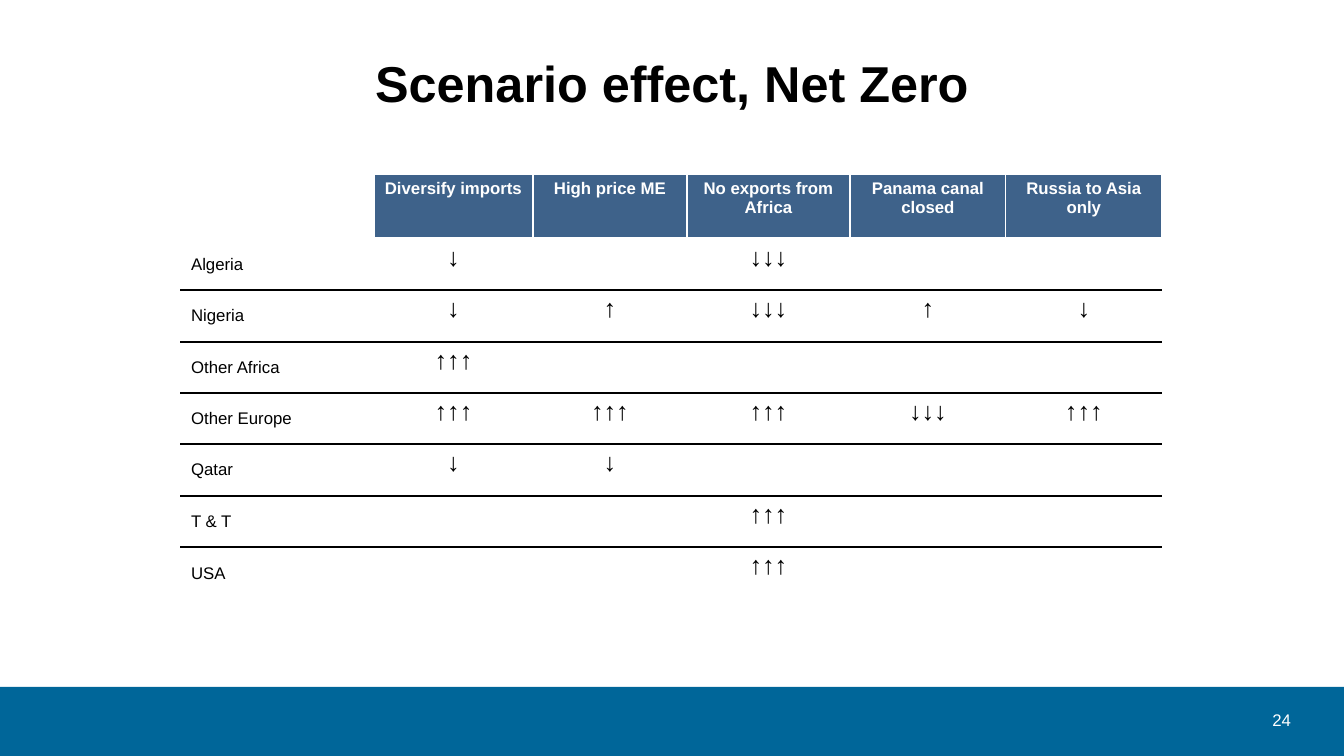
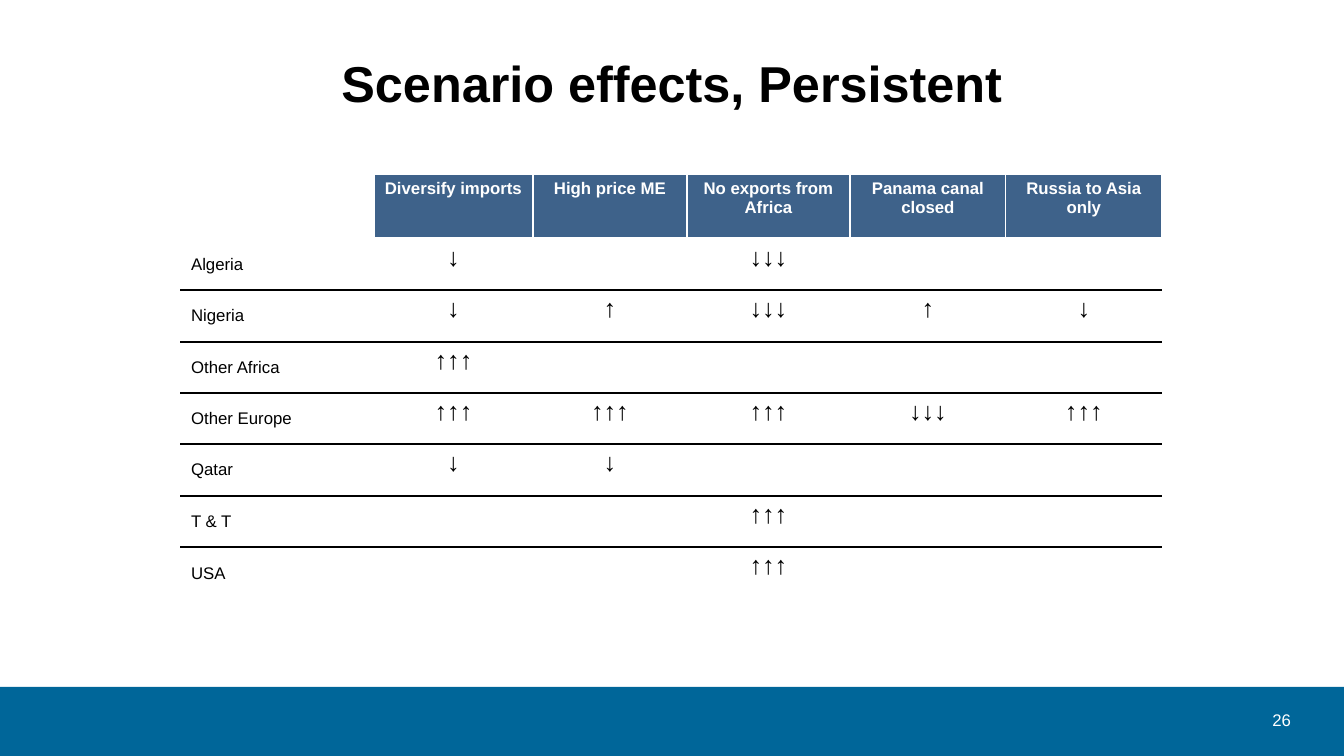
import lxml.etree
import pptx
import pptx.dml.color
import pptx.enum.shapes
import pptx.enum.text
import pptx.oxml.ns
import pptx.util

RGB = pptx.dml.color.RGBColor
ALIGN = pptx.enum.text.PP_ALIGN
ANCHOR = pptx.enum.text.MSO_ANCHOR

BLACK = RGB(0x00, 0x00, 0x00)
WHITE = RGB(0xFF, 0xFF, 0xFF)
BAND_BLUE = RGB(0x00, 0x66, 0x99)
HEADER_BLUE = RGB(0x3E, 0x62, 0x8A)

PX_PER_INCH = 100.8
PAGE_WIDTH, PAGE_HEIGHT = 1344, 756
BAND_HEIGHT = 69
COLUMN_WIDTHS = [193, 159, 154, 163, 156, 156]
ROW_HEIGHTS = [65, 51, 52, 51, 51, 52, 51, 53]

TITLE = {"size": 36, "bold": True, "color": BLACK, "align": ALIGN.CENTER}
PAGE_NUMBER = {"size": 12, "bold": False, "color": WHITE, "align": ALIGN.RIGHT}
HEADING = {"size": 12, "bold": True, "color": WHITE, "align": ALIGN.CENTER}
COUNTRY = {"size": 12, "bold": False, "color": BLACK, "align": ALIGN.LEFT}
ARROWS = {"size": 18, "bold": True, "color": BLACK, "align": ALIGN.CENTER}

EFFECTS = [
    ["", "Diversify imports", "High price ME", "No exports from Africa",
     "Panama canal closed", "Russia to Asia only"],
    ["Algeria", "↓", "", "↓↓↓", "", ""],
    ["Nigeria", "↓", "↑", "↓↓↓", "↑", "↓"],
    ["Other Africa", "↑↑↑", "", "", "", ""],
    ["Other Europe", "↑↑↑", "↑↑↑", "↑↑↑", "↓↓↓", "↑↑↑"],
    ["Qatar", "↓", "↓", "", "", ""],
    ["T & T", "", "", "↑↑↑", "", ""],
    ["USA", "", "", "↑↑↑", "", ""],
]
SLIDES = [
    {"title": "Scenario effect, Net Zero", "title_width": 672, "number": "24"},
    {"title": "Scenario effects, Persistent", "title_width": 838, "number": "26"},
]


def px(length):
    return pptx.util.Inches(length / PX_PER_INCH)


def write(frame, text, style):
    para = frame.paragraphs[0]
    para.text = text
    para.alignment = style["align"]
    font = {"name": "Arial", "size": pptx.util.Pt(style["size"]), "bold": style["bold"]}
    for name, value in font.items():
        setattr(para.font, name, value)
    para.font.color.rgb = style["color"]


def add_text(page, box, text, style, frame_format):
    frame = page.shapes.add_textbox(*map(px, box)).text_frame
    for name, value in frame_format.items():
        setattr(frame, name, value)
    write(frame, text, style)


def add_title(page, text, width):
    box = ((PAGE_WIDTH - width) // 2, 47, width, 72)
    add_text(page, box, text, TITLE, {
        "word_wrap": True,
        "auto_size": pptx.enum.text.MSO_AUTO_SIZE.SHAPE_TO_FIT_TEXT,
    })


def add_footer(page, box, number):
    left, top, width, height = box
    band = page.shapes.add_shape(pptx.enum.shapes.MSO_SHAPE.RECTANGLE, *map(px, box))
    band.shadow.inherit = False
    band.fill.solid()
    band.fill.fore_color.rgb = BAND_BLUE
    band.line.fill.background()
    number_box = (left + width - 144, top + 17, 91, 31)
    add_text(page, number_box, number, PAGE_NUMBER, {
        "word_wrap": True, "vertical_anchor": ANCHOR.MIDDLE,
        "margin_left": 0, "margin_right": 0, "margin_top": 0, "margin_bottom": 0,
    })


def set_borders(cell, borders):
    """Draw the borders given as {side: (colour, points)}, sides in schema order L, R, T, B."""
    properties = cell._tc.get_or_add_tcPr()
    qn = pptx.oxml.ns.qn
    for side, (color, points) in borders.items():
        line = lxml.etree.SubElement(properties, qn(f"a:ln{side}"), w=str(pptx.util.Pt(points)))
        fill = lxml.etree.SubElement(line, qn("a:solidFill"))
        lxml.etree.SubElement(fill, qn("a:srgbClr"), val=str(color))


def row_borders(row, last_row):
    thin_white, thick_white, rule = (WHITE, 1), (WHITE, 3), (BLACK, 1)
    top = {0: thin_white, 1: thick_white}.get(row, rule)
    bottom = {0: thick_white, last_row: thin_white}.get(row, rule)
    return {"L": thin_white, "R": thin_white, "T": top, "B": bottom}


def add_effects_table(page, left, top):
    box = (left, top, sum(COLUMN_WIDTHS), sum(ROW_HEIGHTS))
    table = page.shapes.add_table(len(ROW_HEIGHTS), len(COLUMN_WIDTHS), *map(px, box)).table
    for column, width in zip(table.columns, COLUMN_WIDTHS):
        column.width = px(width)
    for row, height in zip(table.rows, ROW_HEIGHTS):
        row.height = px(height)
    for r, texts in enumerate(EFFECTS):
        for c, text in enumerate(texts):
            cell = table.cell(r, c)
            set_borders(cell, row_borders(r, len(EFFECTS) - 1))
            if r == 0 and c > 0:
                cell.fill.solid()
                cell.fill.fore_color.rgb = HEADER_BLUE
            else:
                cell.fill.background()
            if c == 0:
                cell.vertical_anchor = ANCHOR.MIDDLE
            if text:
                style = HEADING if r == 0 else COUNTRY if c == 0 else ARROWS
                write(cell.text_frame, text, style)


def add_scenario_slide(deck, title, title_width, number):
    page = deck.slides.add_slide(deck.slide_layouts[6])
    add_footer(page, (0, PAGE_HEIGHT - BAND_HEIGHT, PAGE_WIDTH, BAND_HEIGHT), number)
    add_title(page, title, title_width)
    add_effects_table(page, 181, 174)


def main():
    deck = pptx.Presentation()
    deck.slide_width, deck.slide_height = px(PAGE_WIDTH), px(PAGE_HEIGHT)
    for content in SLIDES:
        add_scenario_slide(deck, **content)
    deck.save("out.pptx")


if __name__ == "__main__":
    main()
